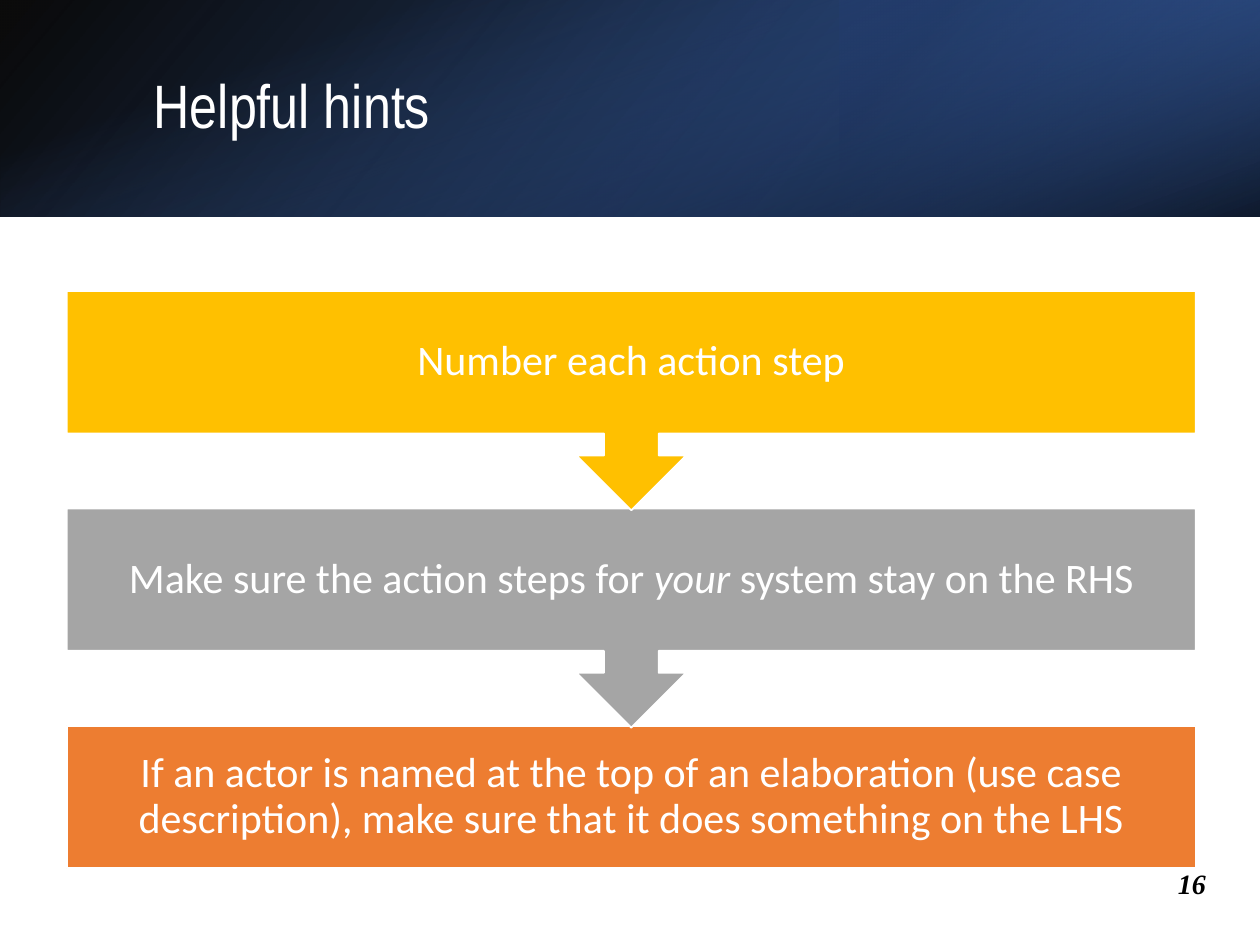
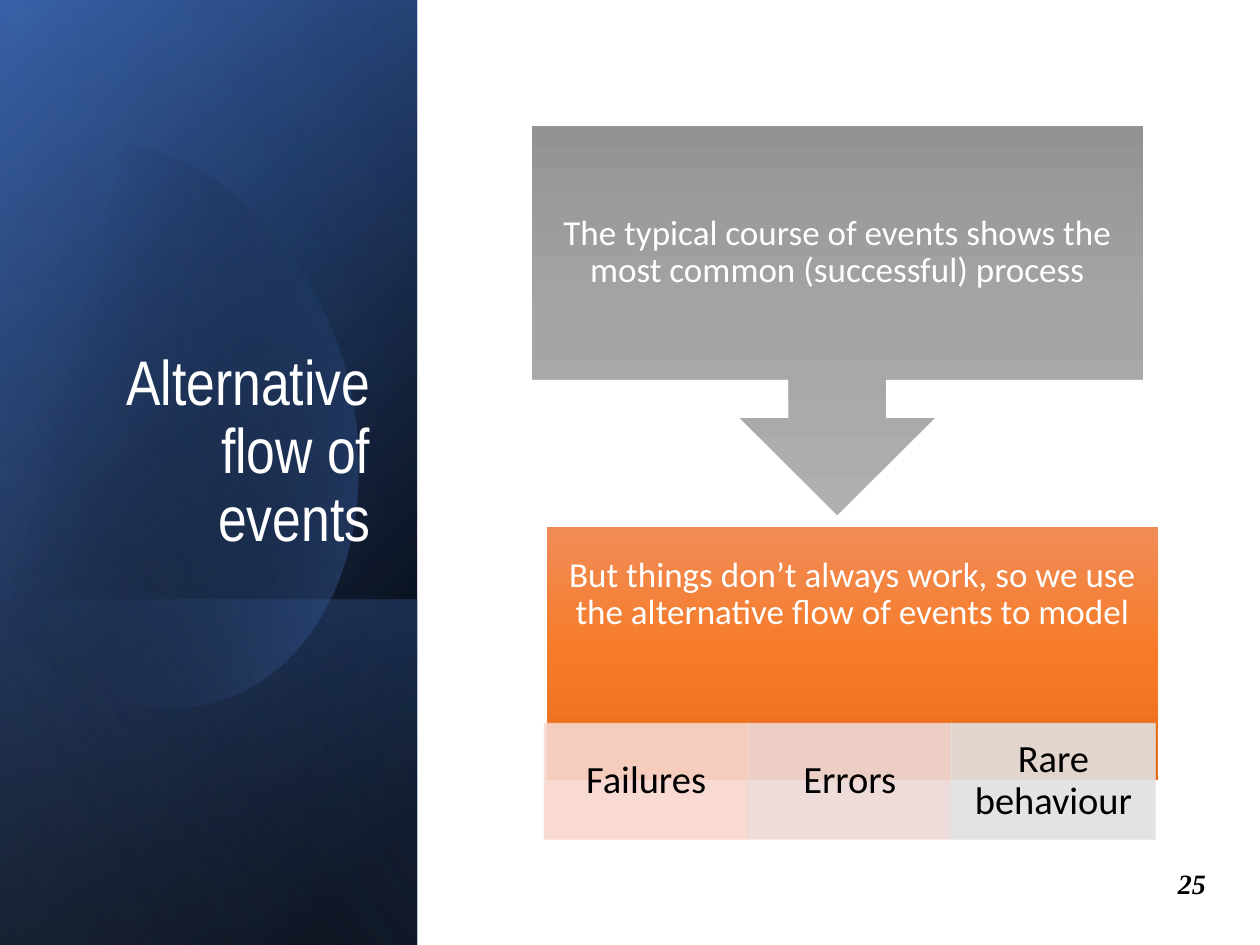
import lxml.etree
import pptx
import pptx.dml.color
import pptx.enum.shapes
import pptx.enum.text
import pptx.oxml.ns
import pptx.util

Inches = pptx.util.Inches
SHAPE = pptx.enum.shapes.MSO_SHAPE
ALIGN = pptx.enum.text.PP_ALIGN
ANCHOR = pptx.enum.text.MSO_ANCHOR

WHITE, BLACK, GREY = "FFFFFF", "000000", "A5A5A5"
BLUE, DEEP_BLUE, NAVY, PALE_BLUE = "4472C4", "2F5597", "203864", "8FAADC"
GOLD, ORANGE = "FFC000", "ED7D31"
TITLE_FONT, BODY_FONT, NUMBER_FONT = "Arial Narrow", "Calibri", "Times New Roman"


def color(hex_code):
    return pptx.dml.color.RGBColor.from_string(hex_code)


def add_child(parent, tag, **attributes):
    child = lxml.etree.SubElement(parent, pptx.oxml.ns.qn(tag))
    for name, value in attributes.items():
        child.set(name, str(value))
    return child


def set_opacity(fill_format, shape_color, percent):
    """Fill with one colour; the alpha goes into the colour element."""
    fill_format.solid()
    fill_format.fore_color.rgb = color(shape_color)
    if percent < 100:
        solid = fill_format._xPr.find(pptx.oxml.ns.qn("a:solidFill"))
        add_child(solid[0], "a:alpha", val=percent * 1000)


def set_gradient(shape, stops, angle):
    """Stops are (position, colour, opacity), all in percent; angle is clockwise."""
    shape.fill.background()
    properties = shape._element.spPr
    empty_fill = properties.find(pptx.oxml.ns.qn("a:noFill"))
    gradient = lxml.etree.Element(pptx.oxml.ns.qn("a:gradFill"), rotWithShape="1")
    stop_list = add_child(gradient, "a:gsLst")
    for position, stop_color, opacity in stops:
        stop = add_child(stop_list, "a:gs", pos=position * 1000)
        rgb = add_child(stop, "a:srgbClr", val=stop_color)
        add_child(rgb, "a:alpha", val=opacity * 1000)
    add_child(gradient, "a:lin", ang=angle * 60000, scaled=0)
    properties.replace(empty_fill, gradient)


def add_block(slide, box, kind=SHAPE.RECTANGLE, fill=None, opacity=100, line=None, width=1):
    block = slide.shapes.add_shape(kind, *map(Inches, box))
    block.shadow.inherit = False
    if fill:
        set_opacity(block.fill, fill, opacity)
    if line:
        set_opacity(block.line.fill, line, opacity)
        block.line.width = pptx.util.Pt(width)
    else:
        block.line.fill.background()
    return block


def write_text(shape, runs, size, font=BODY_FONT, text_color=WHITE, align=ALIGN.CENTER,
               anchor=ANCHOR.MIDDLE, insets=(0.1, 0.05, 0.1, 0.05), spacing=0.9, bold=False):
    """Runs are (text, italic) pairs of one paragraph."""
    left, top, right, bottom = map(Inches, insets)
    frame = shape.text_frame
    frame_format = {"word_wrap": True, "auto_size": pptx.enum.text.MSO_AUTO_SIZE.NONE,
                    "vertical_anchor": anchor, "margin_left": left, "margin_top": top,
                    "margin_right": right, "margin_bottom": bottom}
    for name, value in frame_format.items():
        setattr(frame, name, value)
    paragraph = frame.paragraphs[0]
    paragraph.alignment = align
    paragraph.line_spacing = spacing
    for text, italic in runs:
        run = paragraph.add_run()
        run.text = text
        run_format = {"size": pptx.util.Pt(size), "name": font, "bold": bold, "italic": italic}
        for name, value in run_format.items():
            setattr(run.font, name, value)
        run.font.color.rgb = color(text_color)


def add_label(slide, box, runs, size, **text_format):
    label = slide.shapes.add_textbox(*map(Inches, box))
    write_text(label, runs, size, **text_format)


def add_panel(slide, box, stops, angle, rotation=0, flip=True):
    """Gradient panel that covers the box after its rotation."""
    left, top, width, height = box
    if rotation == 90:
        left, top = left + (width - height) / 2, top + (height - width) / 2
        width, height = height, width
    panel = add_block(slide, (left, top, width, height))
    panel.rotation = rotation
    if flip:
        panel._element.spPr.xfrm.set("flipH", "1")
    set_gradient(panel, stops, angle)


def add_title(slide, box, text, size, align, anchor):
    title = slide.shapes.title
    title.left, title.top, title.width, title.height = map(Inches, box)
    write_text(title, [(text, False)], size, TITLE_FONT, align=align, anchor=anchor)
    title._element.getparent().append(title._element)  # in front of the panels


def add_page_number(slide, number):
    add_label(slide, (9.25, 6.83, 0.75, 0.37), [(str(number), True)], 16, font=NUMBER_FONT,
              text_color=BLACK, align=ALIGN.LEFT, anchor=ANCHOR.TOP, spacing=1, bold=True)


def add_callout(slide, box, body_height, runs, size, inset, **block_format):
    """Box with an arrow that points down; the text sits in its body."""
    left, top, width, height = box
    callout = add_block(slide, box, SHAPE.UP_ARROW_CALLOUT, **block_format)
    callout.rotation = 180
    callout.adjustments[3] = body_height / height
    add_label(slide, (left, top, width, body_height), runs, size, insets=[inset] * 4)
    return callout


def add_top_band(slide, box):
    left, top, width, height = box
    add_panel(slide, box, [(0, BLACK, 96), (100, DEEP_BLUE, 100)], 140)
    third = (left + width * 2 / 3, top, width / 3, height)
    add_panel(slide, third, [(19, NAVY, 68), (100, BLUE, 79)], 320, rotation=180)
    add_panel(slide, box, [(23, BLUE, 0), (99, BLACK, 74)], 340, rotation=90, flip=False)


def bezier_points(start, curve, steps=24):
    x1, y1, x2, y2, x3, y3 = curve
    for step in range(1, steps + 1):
        t = step / steps
        weights = (1 - t) ** 3, 3 * t * (1 - t) ** 2, 3 * t * t * (1 - t), t ** 3
        yield tuple(sum(w * v for w, v in zip(weights, values))
                    for values in ((start[0], x1, x2, x3), (start[1], y1, y2, y3)))


def add_oval_glow(slide, left, top):
    """Tilted oval, cut off at the left."""
    segments = [(1.71, 1.22, 2.44, 1.92, 2.73, 2.9), (3.07, 4.12, 2.62, 5.31, 1.71, 5.57),
                (1.14, 5.74, 0.53, 5.5, 0.07, 5), (-0.03, 4.88), (-0.25, 1.66), (-0.15, 1.54),
                (0.02, 1.37, 0.22, 1.25, 0.45, 1.18), (0.62, 1.13, 0.79, 1.12, 0.96, 1.14)]
    points = [(0.96, 1.14)]
    for segment in segments:
        points += [segment] if len(segment) == 2 else bezier_points(points[-1], segment)
    outline = [(Inches(left + x), Inches(top + y)) for x, y in points]
    builder = slide.shapes.build_freeform(*outline[0])
    builder.add_line_segments(outline[1:], close=True)
    glow = builder.convert_to_shape()
    glow.shadow.inherit = False
    glow.line.fill.background()
    set_gradient(glow, [(29, BLACK, 0), (100, BLUE, 43)], 14)


def add_side_band(slide, box):
    left, top, width, height = box
    foot = 2.74
    add_panel(slide, box, [(8, BLACK, 100), (100, DEEP_BLUE, 100)], 50, rotation=90)
    add_panel(slide, box, [(0, BLACK, 0), (99, BLUE, 46)], 30, rotation=90)
    add_panel(slide, (left, top + height - foot, width, foot),
              [(2, BLUE, 29), (100, BLACK, 30)], 130, rotation=90)
    add_oval_glow(slide, left, top)
    add_panel(slide, box, [(0, BLACK, 0), (99, PALE_BLUE, 11)], 120, rotation=90)


def add_hint_steps(slide, box, hints):
    """Steps at an equal pitch, each but the last pointing to the next."""
    left, top, width, height = box
    body = 1.13
    pitch = (height - body) / (len(hints) - 1)
    steps = list(enumerate(hints))
    for index, (fill, runs) in reversed(steps):
        step_top = top + index * pitch
        if index == len(hints) - 1:
            step = add_block(slide, (left, step_top, width, body), fill=fill, line=WHITE)
            write_text(step, runs, 24, insets=[0.19] * 4)
        else:
            add_callout(slide, (left, step_top, width, 1.74), body, runs, 24, 0.19,
                        fill=fill, line=WHITE)


def add_event_flow(slide, box):
    left, top, width, height = box
    body = 2.01
    typical = add_callout(
        slide, (left, top, width, 3.09), body,
        [("The typical course of events shows the most common (successful) process", False)],
        20, 0.16)
    set_gradient(typical, [(0, "AFAFAF", 100), (50, GREY, 100), (100, "939393", 100)], 90)

    alternative = add_block(slide, (left + 0.12, top + 3.18, width, body))
    set_gradient(alternative, [(0, "F18C57", 100), (50, "F67B28", 100), (100, "E56C19", 100)], 90)
    write_text(alternative, [("But things don’t always work, so we use the alternative flow "
                              "of events to model", False)], 20, insets=(0.16, 0.16, 0.16, 1.09))

    # Cases along the foot of the flow
    cases = [("Failures", "F8D7CE"), ("Errors", "EDD9D7"), ("Rare behaviour", "E1E1E1")]
    case_width, case_height = width / len(cases), 0.92
    for index, (name, fill) in enumerate(cases):
        case_box = (left + 0.1 + index * case_width, top + height - case_height,
                    case_width, case_height)
        case = add_block(slide, case_box, fill=fill, opacity=90, line=fill, width=0.5)
        write_text(case, [(name, False)], 22, text_color=BLACK, insets=(0.17, 0.03, 0.17, 0.03))


def build_hints_slide(slide):
    add_top_band(slide, (0, 0, 10, 1.72))
    add_title(slide, (1.12, 0.38, 8.24, 0.96), "Helpful hints", 35, ALIGN.LEFT, ANCHOR.MIDDLE)
    add_hint_steps(slide, (0.53, 2.31, 8.96, 4.58), [
        (GOLD, [("Number each action step", False)]),
        (GREY, [("Make sure the action steps for ", False), ("your", True),
                (" system stay on the RHS", False)]),
        (ORANGE, [("If an actor is named at the top of an elaboration (use case description), "
                   "make sure that it does something on the LHS", False)]),
    ])


def build_events_slide(slide):
    add_side_band(slide, (0, 0, 3.31, 7.5))
    add_title(slide, (0.48, 1.84, 2.56, 2.62), "Alternative flow of events", 36,
              ALIGN.RIGHT, ANCHOR.BOTTOM)
    add_event_flow(slide, (4.22, 1, 4.85, 5.66))


deck = pptx.Presentation()
deck.slide_width, deck.slide_height = Inches(10), Inches(7.5)
title_only = deck.slide_layouts[5]
for page, build in ((16, build_hints_slide), (25, build_events_slide)):
    page_slide = deck.slides.add_slide(title_only)
    add_page_number(page_slide, page)
    build(page_slide)
deck.save("out.pptx")
